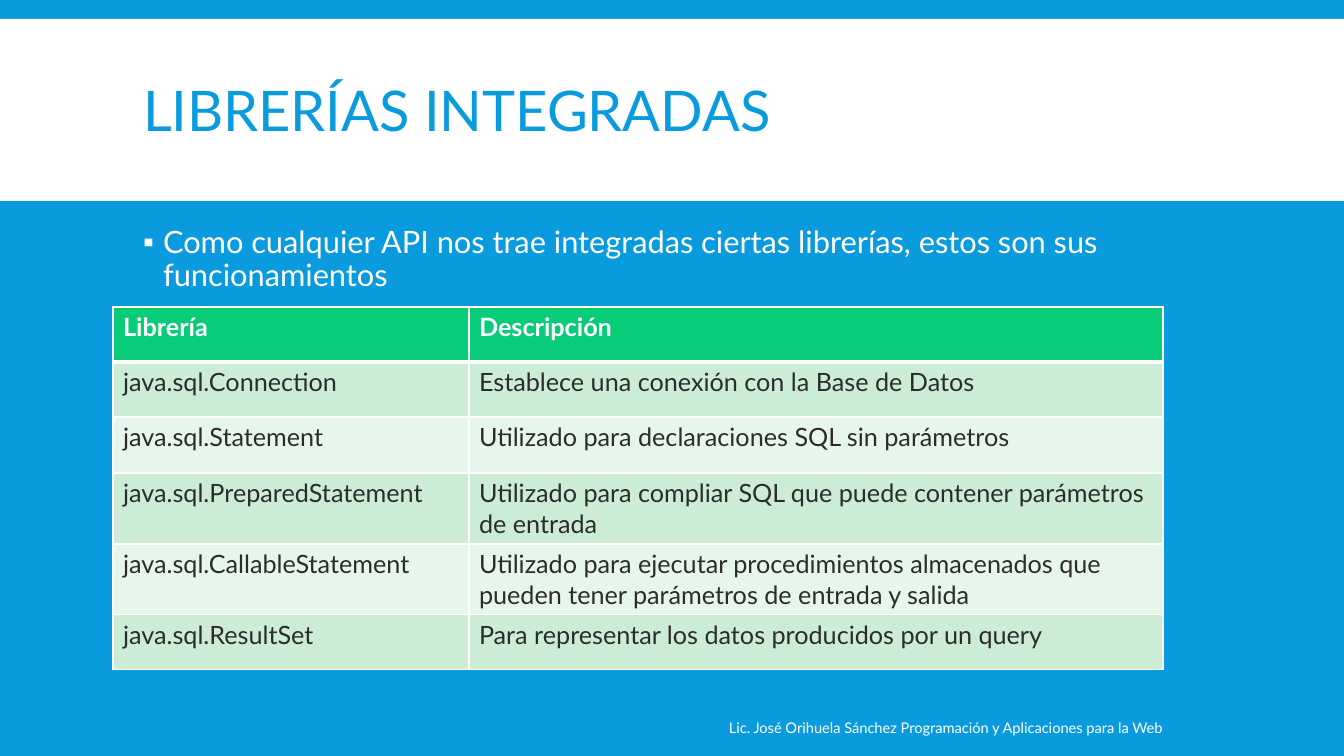
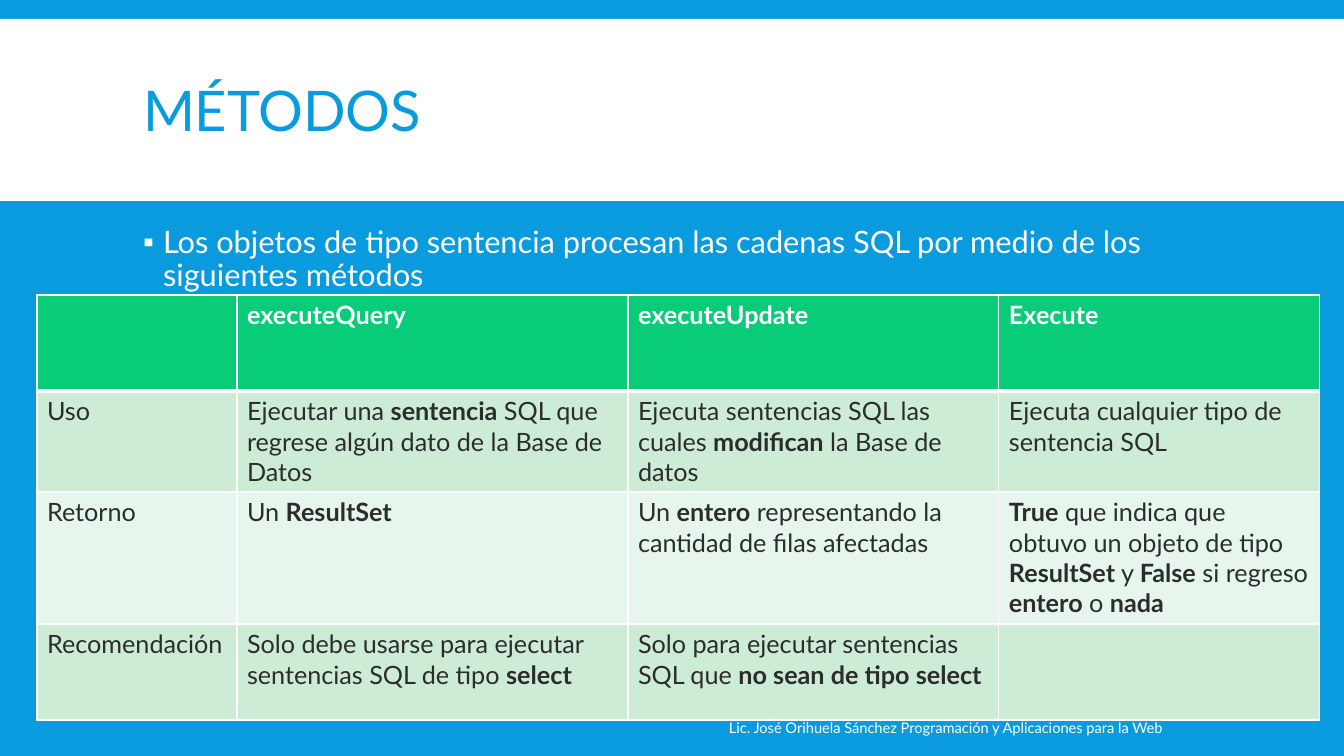
from lxml.etree import SubElement
from pptx import Presentation
from pptx.dml.color import RGBColor
from pptx.enum.shapes import MSO_SHAPE
from pptx.enum.text import MSO_ANCHOR, MSO_AUTO_SIZE, PP_ALIGN
from pptx.oxml.ns import qn
from pptx.util import Emu, Pt

BLUE = "099BDD"
WHITE = "FFFFFF"
GREEN = "08CC78"
DARK = "2C2C2C"
BANDS = ("E7F6EC", "CCECD6")
FONT = "Lato"
SLIDE_WIDTH, SLIDE_HEIGHT = 1344, 756
BAND_BOX = (0, 19, 1344, 182)
TITLE_BOX = (133, 31, 1079, 166)
BODY_BOX = (133, 222, 1079, 464)
FOOTER_BOX = (617, 708, 556, 40)
FOOTER = "Lic. José Orihuela Sánchez Programación y Aplicaciones para la Web"


def px(length):
    return Emu(round(length * 914400 / 100.8))


def color(value):
    return RGBColor.from_string(value)


def place(shape, box):
    shape.left, shape.top, shape.width, shape.height = map(px, box)


def add_run(paragraph, text, size, ink, bold=False):
    run = paragraph.add_run()
    run.text = text
    run.font.name = FONT
    run.font.size = Pt(size)
    run.font.bold = bold
    run.font.color.rgb = color(ink)


def prepare_frame(shape, anchor):
    frame = shape.text_frame
    frame.word_wrap = True
    frame.auto_size = MSO_AUTO_SIZE.NONE
    frame.vertical_anchor = anchor
    return frame.paragraphs[0]


def add_band(slide, box):
    band = slide.shapes.add_shape(MSO_SHAPE.RECTANGLE, *map(px, box))
    band.shadow.inherit = False
    band.fill.solid()
    band.fill.fore_color.rgb = color(WHITE)
    band.line.fill.background()
    slide.shapes._spTree.insert(2, band._element)


def fill_title(slide, box, text):
    title = slide.shapes.title
    place(title, box)
    paragraph = prepare_frame(title, MSO_ANCHOR.MIDDLE)
    paragraph.alignment = PP_ALIGN.LEFT
    paragraph.line_spacing = 0.85
    add_run(paragraph, text, 40, BLUE)


def fill_body(slide, box, text):
    body = slide.placeholders[1]
    place(body, box)
    paragraph = prepare_frame(body, MSO_ANCHOR.TOP)
    paragraph.line_spacing = 0.9
    paragraph.space_before = Pt(12)
    paragraph.space_after = Pt(2)
    properties = paragraph._p.get_or_add_pPr()
    properties.set("marL", str(px(20)))
    properties.set("indent", str(-px(20)))
    bullet_color = SubElement(properties, qn("a:buClr"))
    SubElement(bullet_color, qn("a:srgbClr"), val=WHITE)
    SubElement(properties, qn("a:buChar"), char="▪")
    add_run(paragraph, text, 22, WHITE)


def add_footer(slide, box):
    footer = slide.shapes.add_textbox(*map(px, box))
    paragraph = prepare_frame(footer, MSO_ANCHOR.MIDDLE)
    paragraph.alignment = PP_ALIGN.RIGHT
    add_run(paragraph, FOOTER, 10.5, WHITE)


def set_borders(cell, top, bottom):
    properties = cell._tc.get_or_add_tcPr()
    for side, width in (("L", 1), ("R", 1), ("T", top), ("B", bottom)):
        line = SubElement(properties, qn(f"a:ln{side}"), w=str(Pt(width)))
        fill = SubElement(line, qn("a:solidFill"))
        SubElement(fill, qn("a:srgbClr"), val=WHITE)


def fill_cell(cell, text, row):
    header = row == 0
    set_borders(cell, 3 if row == 1 else 1, 3 if header else 1)
    cell.fill.solid()
    cell.fill.fore_color.rgb = color(GREEN if header else BANDS[row % 2])
    paragraph = cell.text_frame.paragraphs[0]
    for index, part in enumerate(text.split("**")):
        if part:
            add_run(paragraph, part, 18, WHITE if header else DARK, header or index % 2 == 1)


def add_grid(slide, left, top, widths, heights, rows):
    box = (left, top, sum(widths), sum(heights))
    table = slide.shapes.add_table(len(rows), len(widths), *map(px, box)).table
    for column, width in zip(table.columns, widths):
        column.width = px(width)
    for row, height in zip(table.rows, heights):
        row.height = px(height)
    for row, texts in enumerate(rows):
        for column, text in enumerate(texts):
            fill_cell(table.cell(row, column), text, row)


def add_table_slide(presentation, title, body, **grid):
    slide = presentation.slides.add_slide(presentation.slide_layouts[1])
    add_band(slide, BAND_BOX)
    fill_title(slide, TITLE_BOX, title)
    fill_body(slide, BODY_BOX, body)
    add_footer(slide, FOOTER_BOX)
    add_grid(slide, **grid)


presentation = Presentation()
presentation.slide_width = px(SLIDE_WIDTH)
presentation.slide_height = px(SLIDE_HEIGHT)
background = presentation.slide_master.background.fill
background.solid()
background.fore_color.rgb = color(BLUE)

add_table_slide(
    presentation,
    "LIBRERÍAS INTEGRADAS",
    "Como cualquier API nos trae integradas ciertas librerías, estos son sus funcionamientos",
    left=113,
    top=307,
    widths=(356, 694),
    heights=(55, 55, 56, 71, 70, 55),
    rows=(
        ("Librería", "Descripción"),
        ("java.sql.Connection", "Establece una conexión con la Base de Datos"),
        ("java.sql.Statement", "Utilizado para declaraciones SQL sin parámetros"),
        ("java.sql.PreparedStatement",
         "Utilizado para compliar SQL que puede contener parámetros de entrada"),
        ("java.sql.CallableStatement",
         "Utilizado para ejecutar procedimientos almacenados que pueden tener "
         "parámetros de entrada y salida"),
        ("java.sql.ResultSet", "Para representar los datos producidos por un query"),
    ),
)

add_table_slide(
    presentation,
    "MÉTODOS",
    "Los objetos de tipo sentencia procesan las cadenas SQL por medio de los siguientes métodos",
    left=37,
    top=295,
    widths=(200, 391, 371, 321),
    heights=(96, 101, 132, 96),
    rows=(
        ("", "executeQuery", "executeUpdate", "Execute"),
        ("Uso",
         "Ejecutar una **sentencia** SQL que regrese algún dato de la Base de Datos",
         "Ejecuta sentencias SQL las cuales **modifican** la Base de datos",
         "Ejecuta cualquier tipo de sentencia SQL"),
        ("Retorno",
         "Un **ResultSet**",
         "Un **entero** representando la cantidad de filas afectadas",
         "**True** que indica que obtuvo un objeto de tipo **ResultSet** y "
         "**False** si regreso **entero** o **nada**"),
        ("Recomendación",
         "Solo debe usarse para ejecutar sentencias SQL de tipo **select**",
         "Solo para ejecutar sentencias SQL que **no sean de tipo select**",
         ""),
    ),
)

presentation.save("out.pptx")
